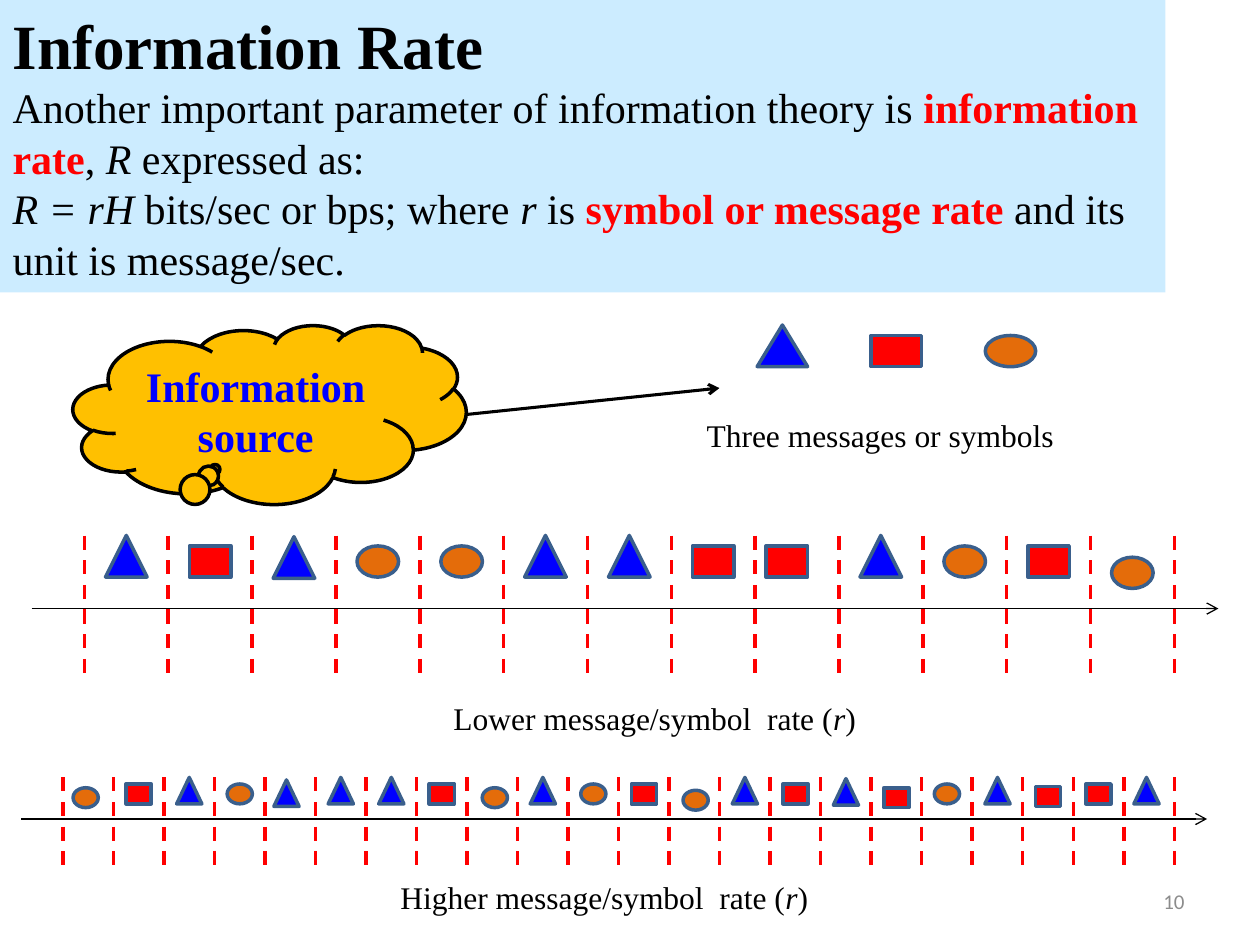
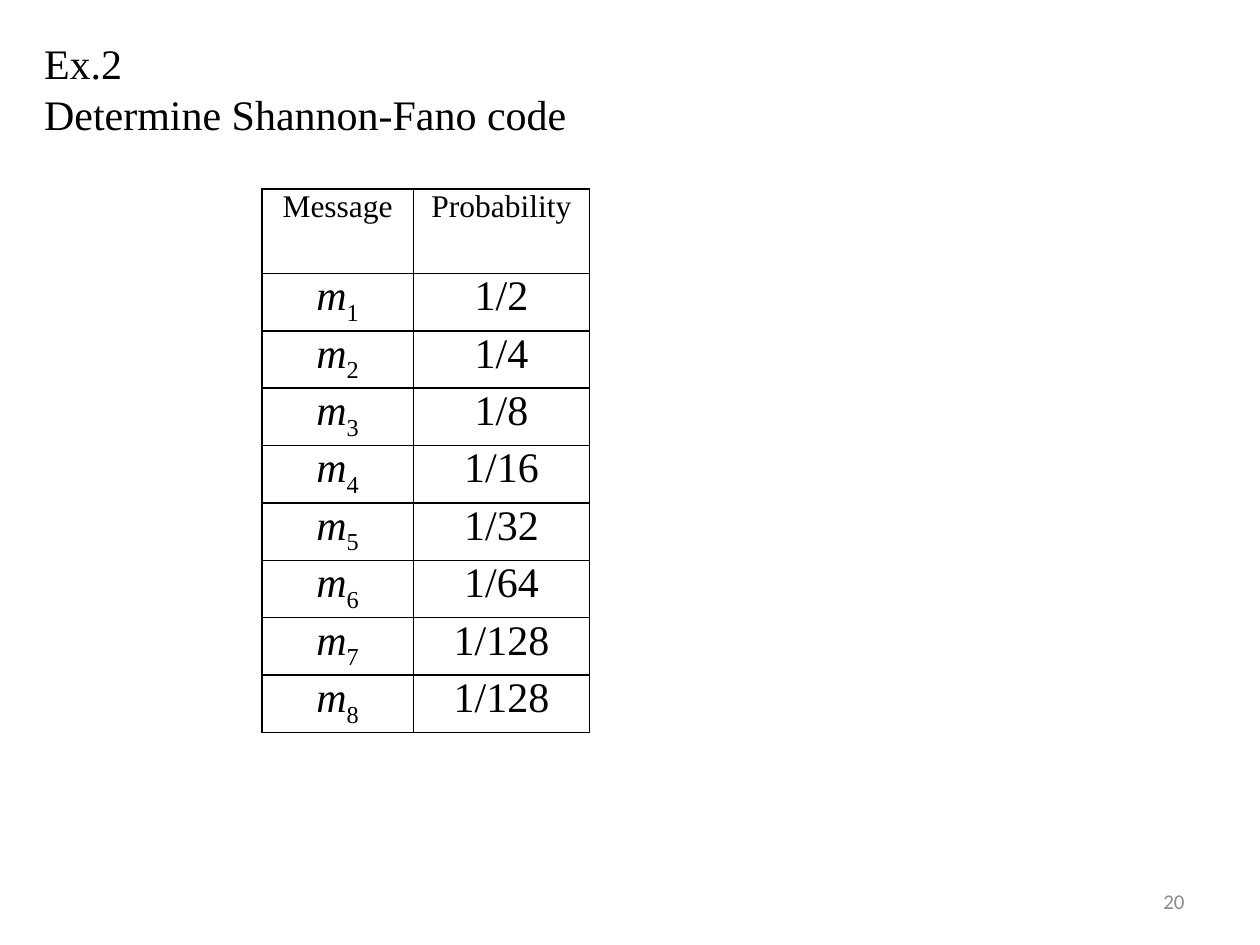
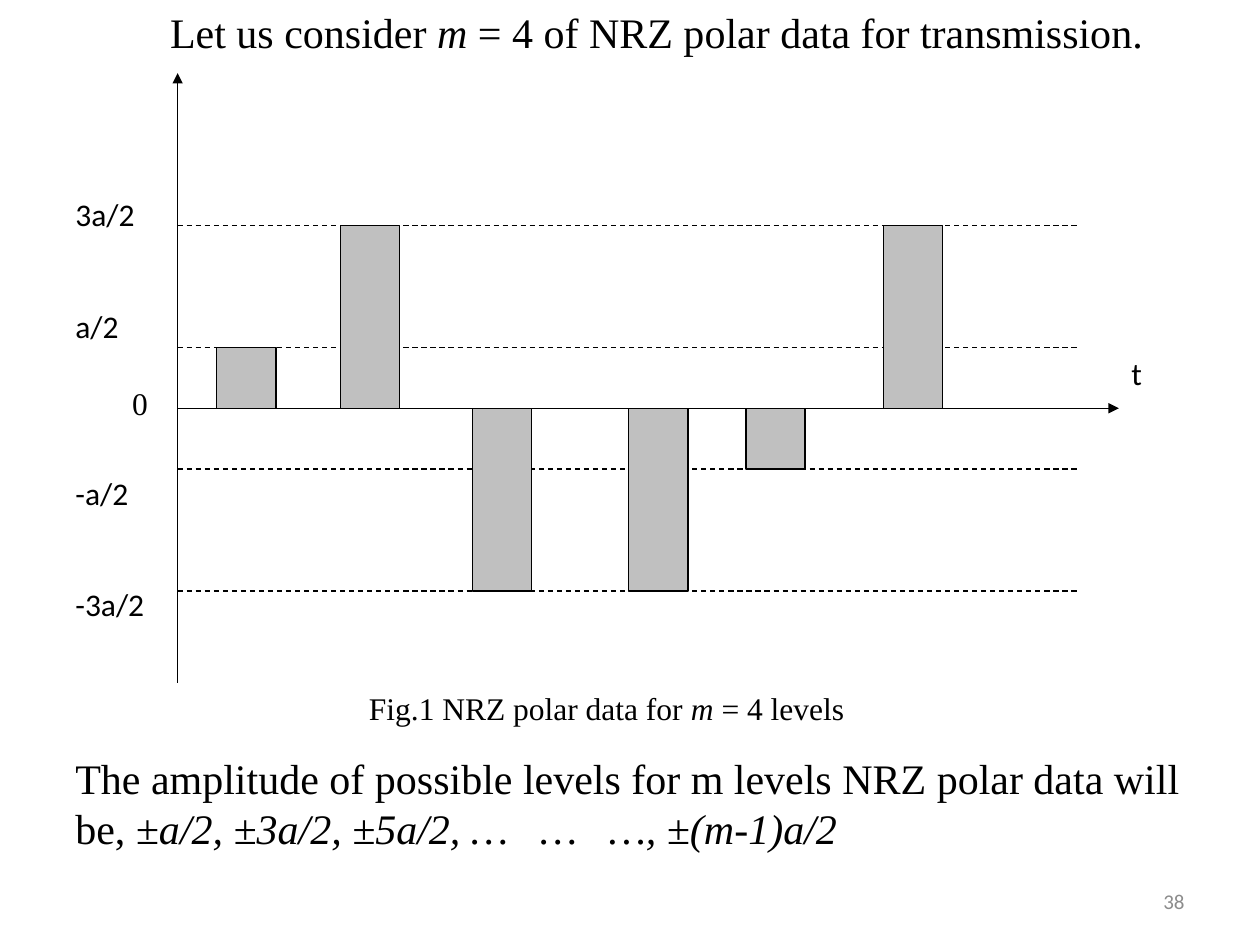
from lxml import etree
from pptx import Presentation
from pptx import util as u
from pptx.dml.color import RGBColor
from pptx.enum import dml, shapes, text
from pptx.oxml import ns

SCALE = 9144
SERIF, SANS = "Times New Roman", "Calibri"
BLACK, RED, BLUE, ORANGE = "000000", "FF0000", "0000FF", "E46C0A"
SKY, GOLD, STEEL, SILVER, GREY = "CCECFF", "FFC000", "3A5F8C", "C0C0C0", "8C8C8C"
KIND = shapes.MSO_SHAPE
LEFT, MID, RIGHT, JUST = (text.PP_ALIGN.LEFT, text.PP_ALIGN.CENTER,
                          text.PP_ALIGN.RIGHT, text.PP_ALIGN.JUSTIFY)
MARKS = {"T": (KIND.ISOSCELES_TRIANGLE, BLUE),
         "R": (KIND.RECTANGLE, RED),
         "O": (KIND.OVAL, ORANGE)}


def px(*nums):
    """Turn px lengths into EMU."""
    return [u.Emu(round(n * SCALE)) for n in nums]


def rgb(code):
    """Turn a hex string into a colour."""
    return RGBColor.from_string(code)


def split(line):
    """Yield (text, flags) runs; _ marks italic, * accent, ~ subscript."""
    flags, part = set(), ""
    for char in line:
        if char in "_*~":
            if part:
                yield part, set(flags)
            flags ^= {char}
            part = ""
        else:
            part += char
    if part:
        yield part, set(flags)


def write(frame, words, size=18, font=SERIF, color=BLACK, bold=False,
          align=LEFT, after=(), more=False):
    """Write marked-up lines into a text frame."""
    for i, line in enumerate(words.split("\n")):
        para = frame.add_paragraph() if more or i else frame.paragraphs[0]
        para.alignment = align
        if after:
            para.space_after = u.Pt(after[i])
        for part, flags in split(line):
            run = para.add_run()
            run.text = part
            face = run.font
            face.name, face.size = font, u.Pt(size)
            face.bold = bold or "*" in flags
            face.italic = "_" in flags
            face.color.rgb = rgb(RED if "*" in flags else color)
            if "~" in flags:
                run._r.get_or_add_rPr().set("baseline", "-25000")


def label(slide, box, words, wrap=True, anchor=text.MSO_ANCHOR.TOP, **form):
    """Add a text box."""
    frame = slide.shapes.add_textbox(*px(*box)).text_frame
    frame.word_wrap, frame.vertical_anchor = wrap, anchor
    write(frame, words, **form)


def title(slide, box, words, wrap=True, **form):
    """Move and fill the title placeholder."""
    head = slide.shapes.title
    head.left, head.top, head.width, head.height = px(*box)
    frame = head.text_frame
    frame.auto_size = text.MSO_AUTO_SIZE.NONE
    frame.word_wrap, frame.vertical_anchor = wrap, text.MSO_ANCHOR.TOP
    write(frame, words, **form)
    return head


def shape(slide, kind, box, fill, line, width):
    """Add a filled and outlined shape."""
    item = slide.shapes.add_shape(kind, *px(*box))
    item.shadow.inherit = False
    item.fill.solid()
    item.fill.fore_color.rgb = rgb(fill)
    item.line.color.rgb = rgb(line)
    item.line.width = u.Pt(width)
    return item


def line(slide, ends, color=BLACK, width=0.75, dash=False, tip=None):
    """Add a straight line, dashed or with an arrowhead if asked."""
    item = slide.shapes.add_connector(shapes.MSO_CONNECTOR.STRAIGHT, *px(*ends))
    item.line.color.rgb = rgb(color)
    item.line.width = u.Pt(width)
    if dash:
        item.line.dash_style = dml.MSO_LINE.DASH
    if tip:
        etree.SubElement(item.line._get_or_add_ln(), ns.qn("a:tailEnd"), type=tip)
    etree.SubElement(item._element.spPr, ns.qn("a:effectLst"))


def page(deck, number):
    """Add a slide with its page number."""
    slide = deck.slides.add_slide(deck.slide_layouts[5])
    label(slide, (717, 695, 233, 40), str(number), size=12, font=SANS,
          color=GREY, align=RIGHT, anchor=text.MSO_ANCHOR.MIDDLE)
    return slide


def mark(slide, key, x, y, wide, high):
    """Draw one message symbol; flat ones rest on the triangle's base."""
    kind, fill = MARKS[key]
    drop = 0 if key == "T" else high / 4
    shape(slide, kind, (x, y + drop, wide, high - drop), fill, STEEL, 2)


def stream(slide, box, keys, size, axis, nudge):
    """Draw a timeline with one symbol in each equal slot."""
    x, y, wide, high = box
    step = wide / len(keys)
    start, end, drop = axis
    line(slide, (start, y + drop, end, y + drop), tip="arrow")
    for i in range(len(keys) + 1):
        tick = x + i * step
        line(slide, (tick, y, tick, y + high), RED, 2, dash=True)
    for i, key in enumerate(keys):
        right, down = nudge.get(i, (0, 0))
        mark(slide, key, x + i * step + (step - size[0]) / 2 + right,
             y + down, *size)


def source(slide, box):
    """Draw the source cloud, its arrow and the three symbols."""
    x, y, wide, high = box
    cloud = shape(slide, KIND.CLOUD_CALLOUT, box, GOLD, BLACK, 2)
    cloud.adjustments[0], cloud.adjustments[1] = -0.139, 0.307
    cloud.text_frame.word_wrap = True
    cloud.text_frame.vertical_anchor = text.MSO_ANCHOR.MIDDLE
    write(cloud.text_frame, "Information source", size=24, color=BLUE,
          bold=True, align=MID)
    line(slide, (x + wide, y + high / 2, x + 513, y + 50), width=1.75, tip="arrow")
    for i, key in enumerate("TRO"):
        mark(slide, key, x + 543 + i * 90.5, y, 40, 33)
    label(slide, (x + 493, y + 67, 382, 40), "Three messages or symbols")


def rate(deck):
    """Build the information rate slide."""
    slide = page(deck, 10)
    head = title(slide, (0, 0, 925, 232), "Information Rate", size=36, bold=True)
    head.fill.solid()
    head.fill.fore_color.rgb = rgb(SKY)
    write(head.text_frame,
          "Another important parameter of information theory is "
          "*information rate*, _R_ expressed as:\n"
          "_R = rH_ bits/sec or bps; where _r_ is *symbol or message rate *"
          "and its unit is message/sec.", size=24, more=True)
    source(slide, (58, 258, 312, 142))
    stream(slide, (67, 425, 865, 117), "TRTOOTTRRTORO", (33, 33), (25, 967, 58),
           {2: (0, 1), 8: (-8, 0), 12: (0, 9)})
    stream(slide, (50, 617, 882, 75), "ROTO"[2:0:-1] and "ORTOTTTROTOROTRTROTRRT",
           (20, 21), (17, 958, 33),
           {0: (-2, 3), 4: (-3, 2), 8: (2, 3), 12: (1, 5), 15: (0, 1),
            16: (0, 3), 19: (0, 2), 21: (-2, 0)})
    label(slide, (350, 550, 342, 40), "Lower message/symbol  rate (_r_)")
    label(slide, (308, 692, 400, 40), "Higher message/symbol  rate (_r_)")


def border(cell):
    """Give a cell four black edges."""
    props = cell._tc.get_or_add_tcPr()
    for i, side in enumerate(("lnL", "lnR", "lnT", "lnB")):
        edge = etree.Element(ns.qn("a:" + side), w="12700")
        fill = etree.SubElement(edge, ns.qn("a:solidFill"))
        etree.SubElement(fill, ns.qn("a:srgbClr"), val=BLACK)
        props.insert(i, edge)


def grid(slide, box, rows, cols, highs):
    """Draw the bordered table of messages."""
    table = slide.shapes.add_table(len(rows), len(cols), *px(*box)).table
    table.first_row = table.horz_banding = False
    for col, wide in zip(table.columns, px(*cols)):
        col.width = wide
    for r, row in enumerate(rows):
        table.rows[r].height = px(highs[min(r, 1)])[0]
        for c, words in enumerate(row):
            cell = table.cell(r, c)
            cell.margin_left, cell.margin_right = px(7, 7)
            cell.margin_top = cell.margin_bottom = 0
            cell.fill.background()
            border(cell)
            write(cell.text_frame, words, size=24 if r else 18, align=MID)


def code(deck):
    """Build the Shannon-Fano exercise slide."""
    slide = page(deck, 20)
    title(slide, (25, 25, 439, 91), "Ex.2\nDetermine Shannon-Fano code",
          wrap=False, size=24)
    parts = (2, 4, 8, 16, 32, 64, 128, 128)
    rows = [("Message", "Probability")]
    rows += [(f"_m_~{i}~", f"1/{part}") for i, part in enumerate(parts, 1)]
    grid(slide, (208, 150, 260, 387), rows, (120, 140), (67, 40))


def signal(slide, box, bars):
    """Draw the four-level signal with axes, guides, bars and labels."""
    x, y, wide, high = box
    zero, unit = y + 266, 145 / 3
    line(slide, (x, zero, x + wide, zero), tip="triangle")
    line(slide, (x, y + high, x, y), tip="triangle")
    for level in (1, -1, 3, -3):
        rise = zero - level * unit
        line(slide, (x, rise, x + 716, rise), dash=True)
    for left, level in bars:
        top = zero - max(level, 0) * unit
        shape(slide, KIND.RECTANGLE, (x + left, top, 47, abs(level) * unit),
              SILVER, BLACK, 0.75)
    label(slide, (x - 91, y + 92, 109, 338), "3a/2\na/2\n-a/2\n-3a/2",
          font=SANS, after=(42, 74, 42, 10))
    label(slide, (x + wide, zero - 48, 62, 72), "t", font=SANS)
    label(slide, (x - 46, zero - 24, 62, 72), "0")


def polar(deck):
    """Build the NRZ polar data slide."""
    slide = page(deck, 38)
    title(slide, (125, 0, 850, 50),
          "Let us consider _m_ = 4 of NRZ polar data for transmission.",
          size=24, align=JUST)
    signal(slide, (141, 58, 747, 484),
           ((31, 1), (129, 3), (234, -3), (358, -3), (451, -1), (560, 3)))
    label(slide, (283, 542, 401, 40), "Fig.1 NRZ polar data for _m_ = 4 levels",
          wrap=False)
    label(slide, (50, 592, 900, 91),
          "The amplitude of possible levels for m levels NRZ polar data will be, "
          "_±a/2, ±3a/2, ±5a/2, …   …   …, ±(m-1)a/2_", size=24)


def main():
    """Build and save the deck."""
    deck = Presentation()
    deck.slide_width, deck.slide_height = px(1000, 750)
    for build in (rate, code, polar):
        build(deck)
    deck.save("out.pptx")


if __name__ == "__main__":
    main()
